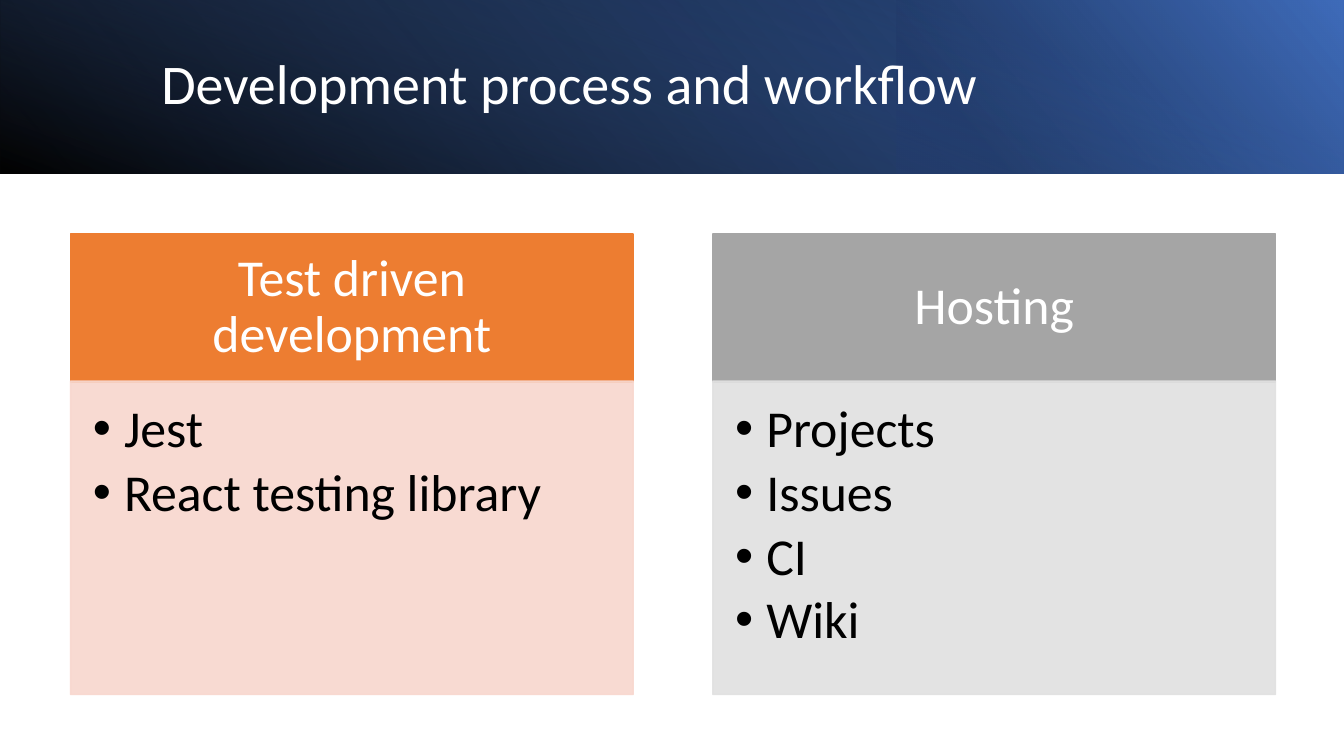
from lxml import etree
from pptx import Presentation
from pptx import util as u
from pptx.dml.color import RGBColor
from pptx.enum import shapes, text
from pptx.oxml import parse_xml
from pptx.oxml.ns import nsdecls, qn

WHITE = RGBColor(0xFF, 0xFF, 0xFF)
BLACK = RGBColor(0x00, 0x00, 0x00)
BLUE = RGBColor(0x44, 0x72, 0xC4)
MID_BLUE = RGBColor(0x2F, 0x55, 0x97)
NAVY = RGBColor(0x20, 0x38, 0x64)
ORANGE = RGBColor(0xED, 0x7D, 0x31)
PEACH = RGBColor(0xF8, 0xD7, 0xCE)
GRAY = RGBColor(0xA5, 0xA5, 0xA5)
LIGHT_GRAY = RGBColor(0xE1, 0xE1, 0xE1)

FONT = "Calibri"
WIDTH, BAND_HEIGHT = 13.33, 1.72


def add_rect(s, x, y, w, h):
    """Add a rectangle without a shadow."""
    sp = s.shapes.add_shape(shapes.MSO_SHAPE.RECTANGLE, *map(u.Inches, (x, y, w, h)))
    sp.shadow.inherit = False
    return sp


def add_gradient(s, x, y, w, h, stops, angle, rotation=0, flip=False):
    """Add a rectangle with a gradient of (position, colour, opacity) stops."""
    sp = add_rect(s, x, y, w, h)
    sp.rotation = rotation
    sp.line.fill.background()
    spPr = sp.element.spPr
    if flip:
        spPr.xfrm.set("flipH", "1")
    stop_xml = "".join(
        f'<a:gs pos="{pos * 1000}"><a:srgbClr val="{color}">'
        f'<a:alpha val="{opacity * 1000}"/></a:srgbClr></a:gs>'
        for pos, color, opacity in stops)
    grad = parse_xml(
        f'<a:gradFill {nsdecls("a")} rotWithShape="1"><a:gsLst>{stop_xml}</a:gsLst>'
        f'<a:lin ang="{angle * 60000}" scaled="0"/></a:gradFill>')
    spPr.find(qn("a:prstGeom")).addnext(grad)


def add_panel(s, x, y, w, h, color, opacity=100):
    """Add a rectangle filled and outlined in one colour."""
    sp = add_rect(s, x, y, w, h)
    sp.fill.solid()
    sp.fill.fore_color.rgb = color
    sp.line.color.rgb = color
    sp.line.width = u.Pt(1)
    if opacity < 100:
        for clr in sp.element.spPr.iter(qn("a:srgbClr")):
            etree.SubElement(clr, qn("a:alpha"), val=str(opacity * 1000))
    return sp


def write(sp, lines, size, color, align=text.PP_ALIGN.LEFT, anchor=text.MSO_ANCHOR.MIDDLE,
          insets=(0.1, 0.05, 0.1, 0.05), after=0, bullet=False):
    """Write formatted paragraphs into a shape."""
    tf = sp.text_frame
    tf.word_wrap = True
    tf.auto_size = text.MSO_AUTO_SIZE.NONE
    tf.vertical_anchor = anchor
    tf.margin_left, tf.margin_top, tf.margin_right, tf.margin_bottom = map(u.Inches, insets)
    for i, line in enumerate(lines):
        p = tf.paragraphs[0] if i == 0 else tf.add_paragraph()
        p.alignment = align
        p.line_spacing = 0.9
        p.space_before = u.Pt(0)
        p.space_after = u.Pt(after)
        r = p.add_run()
        r.text = line
        r.font.name = FONT
        r.font.size = u.Pt(size)
        r.font.color.rgb = color
        if bullet:
            pPr = p._p.get_or_add_pPr()
            pPr.set("marL", str(u.Inches(0.31)))
            pPr.set("indent", str(u.Inches(-0.31)))
            etree.SubElement(pPr, qn("a:buFont"), typeface="Arial")
            etree.SubElement(pPr, qn("a:buChar"), char="•")


def add_band(s):
    """Add the layered gradient band behind the title."""
    add_gradient(s, 0, 0, WIDTH, BAND_HEIGHT,
                 [(0, BLACK, 96), (100, MID_BLUE, 100)], 220, flip=True)
    add_gradient(s, 8.89, 0, 4.44, BAND_HEIGHT,
                 [(19, NAVY, 68), (100, BLUE, 79)], 40, rotation=180, flip=True)
    offset = (WIDTH - BAND_HEIGHT) / 2
    add_gradient(s, offset, -offset, BAND_HEIGHT, WIDTH,
                 [(23, BLUE, 0), (99, BLACK, 74)], 20, rotation=90)


def add_title(s, title):
    """Place the title in front of the band."""
    sp = s.shapes.title
    sp.left, sp.top, sp.width, sp.height = map(u.Inches, (1.5, 0.38, 10.98, 0.96))
    write(sp, [title], 40, WHITE)
    s.shapes._spTree.append(sp.element)


def add_column(s, x, heading, items, color, tint):
    """Add a heading box with its bulleted list below."""
    head = add_panel(s, x, 2.32, 5.58, 1.47, color)
    write(head, [heading], 37, WHITE, align=text.PP_ALIGN.CENTER,
          insets=(0.29, 0.16, 0.29, 0.16))
    body = add_panel(s, x, 3.78, 5.58, 3.11, tint, opacity=90)
    write(body, items, 37, BLACK, anchor=text.MSO_ANCHOR.TOP,
          insets=(0.22, 0.22, 0.29, 0.32), after=5.5, bullet=True)


def main():
    """Build and save the slide."""
    prs = Presentation()
    prs.slide_width, prs.slide_height = u.Inches(WIDTH), u.Inches(7.5)
    s = prs.slides.add_slide(prs.slide_layouts[5])
    add_band(s)
    add_title(s, "Development process and workflow")
    add_column(s, 0.7, "Test driven development",
               ["Jest", "React testing library"], ORANGE, PEACH)
    add_column(s, 7.07, "Hosting",
               ["Projects", "Issues", "CI", "Wiki"], GRAY, LIGHT_GRAY)
    prs.save("out.pptx")


if __name__ == "__main__":
    main()
